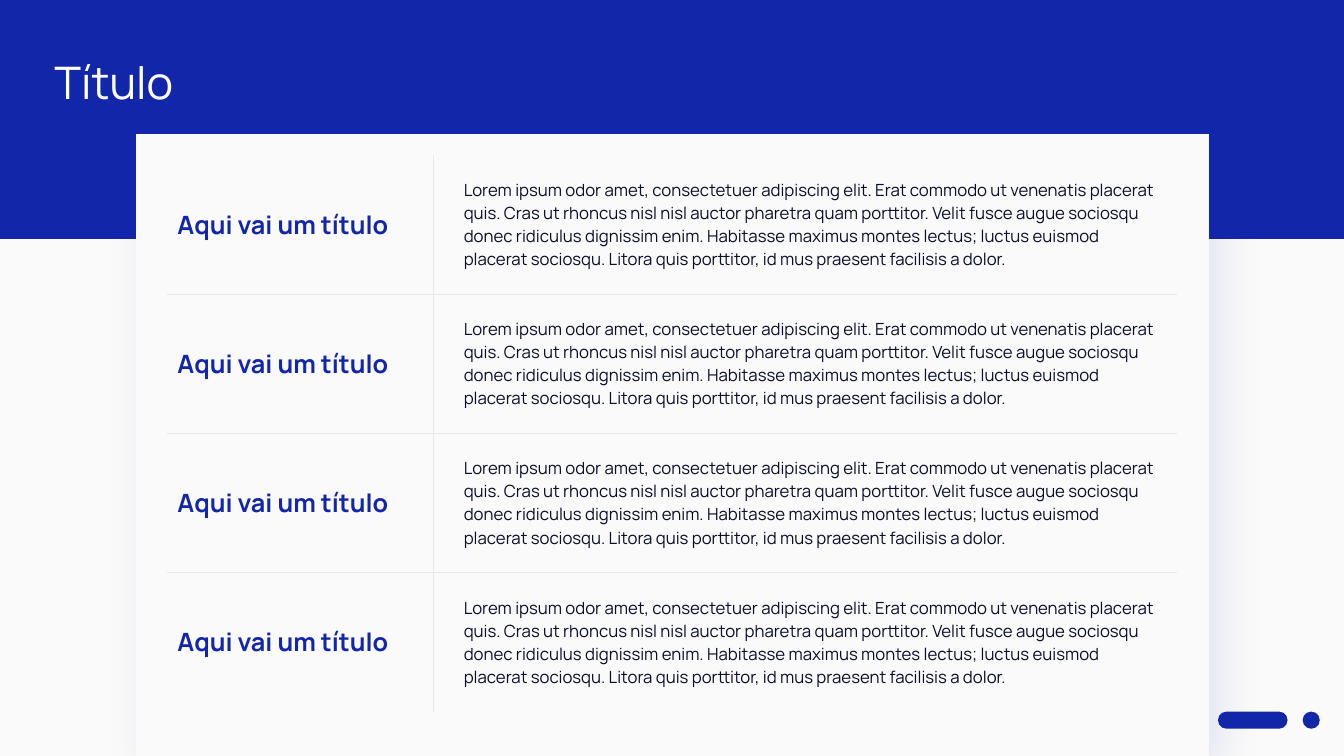
from dataclasses import dataclass

from lxml.etree import SubElement
from pptx import Presentation
from pptx.dml.color import RGBColor
from pptx.enum.shapes import MSO_SHAPE
from pptx.enum.text import MSO_ANCHOR, MSO_AUTO_SIZE, PP_ALIGN
from pptx.oxml import parse_xml
from pptx.oxml.ns import nsdecls, qn
from pptx.shapes.autoshape import Shape
from pptx.slide import Slide
from pptx.table import _Cell
from pptx.util import Inches, Pt

BLUE = RGBColor(0x12, 0x26, 0xAA)
NAVY = RGBColor(0x09, 0x0E, 0x29)
PAPER = RGBColor(0xFA, 0xFA, 0xFA)
WHITE = RGBColor(0xFF, 0xFF, 0xFF)
RULE = RGBColor(0xE8, 0xE8, 0xE8)
SHADOW = RGBColor(0x12, 0x2A, 0xA6)
NO_STYLE = "{2D5ABB26-0587-4C30-8999-92F81FD0307C}"

TITLE_FONT = {"name": "Manrope", "size": Pt(32), "color": WHITE, "bold": False}
HEADING_FONT = {"name": "Manrope", "size": Pt(18), "color": BLUE, "bold": True}
BODY_FONT = {"name": "Manrope", "size": Pt(12), "color": NAVY, "bold": False}

HEADING = "Aqui vai um título"
BODY = (
    "Lorem ipsum odor amet, consectetuer adipiscing elit. Erat commodo ut venenatis "
    "placerat quis. Cras ut rhoncus nisl nisl auctor pharetra quam porttitor. Velit "
    "fusce augue sociosqu donec ridiculus dignissim enim. Habitasse maximus montes "
    "lectus; luctus euismod placerat sociosqu. Litora quis porttitor, id mus praesent "
    "facilisis a dolor."
)
ROWS = [(HEADING, BODY)] * 4
ROW_HEIGHT = 1.38
COLUMN_WIDTHS = (2.64, 7.37)


@dataclass
class Block:
    left: float
    top: float
    width: float
    height: float
    color: RGBColor
    rounded: bool = False
    shadow: bool = False


BLOCKS = [
    Block(0, 0, 13.33, 2.37, BLUE),
    Block(1.35, 1.33, 10.64, 6.17, PAPER, shadow=True),
    Block(12.08, 7.06, 0.69, 0.17, BLUE, rounded=True),
    Block(12.92, 7.06, 0.17, 0.17, BLUE, rounded=True),
]


def format_text(p, fmt: dict) -> None:
    for r in p.runs:
        for name, value in fmt.items():
            if name == "color":
                r.font.color.rgb = value
            else:
                setattr(r.font, name, value)


def add_soft_shadow(sp: Shape) -> None:
    effects = sp._element.spPr.find(qn("a:effectLst"))
    effects.append(parse_xml(
        f'<a:outerShdw {nsdecls("a")} blurRad="{Pt(30)}" dist="{Pt(12)}" '
        f'dir="{45 * 60000}" algn="tl" rotWithShape="0">'
        f'<a:srgbClr val="{SHADOW}"><a:alpha val="10000"/></a:srgbClr></a:outerShdw>'
    ))


def add_block(s: Slide, block: Block) -> None:
    kind = MSO_SHAPE.ROUNDED_RECTANGLE if block.rounded else MSO_SHAPE.RECTANGLE
    sp = s.shapes.add_shape(kind, Inches(block.left), Inches(block.top),
                            Inches(block.width), Inches(block.height))
    if block.rounded:
        sp.adjustments[0] = 0.5
    sp.fill.solid()
    sp.fill.fore_color.rgb = block.color
    sp.line.fill.background()
    sp.shadow.inherit = False
    if block.shadow:
        add_soft_shadow(sp)


def set_borders(cell: _Cell, visible: dict[str, bool]) -> None:
    tc_pr = cell._tc.get_or_add_tcPr()
    for i, (side, shown) in enumerate(visible.items()):
        fill = f'<a:solidFill><a:srgbClr val="{RULE}"/></a:solidFill>' if shown else "<a:noFill/>"
        tc_pr.insert(i, parse_xml(
            f'<a:ln{side} {nsdecls("a")} w="{Pt(1)}">{fill}</a:ln{side}>'))


def add_topics(s: Slide) -> None:
    table = s.shapes.add_table(
        len(ROWS), len(COLUMN_WIDTHS), Inches(1.66), Inches(1.54),
        Inches(sum(COLUMN_WIDTHS)), Inches(ROW_HEIGHT * len(ROWS))).table
    table.first_row = table.horz_banding = False
    tbl_pr = table._tbl.tblPr
    style = tbl_pr.find(qn("a:tableStyleId"))
    if style is None:
        style = SubElement(tbl_pr, qn("a:tableStyleId"))
    style.text = NO_STYLE
    for column, width in zip(table.columns, COLUMN_WIDTHS):
        column.width = Inches(width)
    for i, texts in enumerate(ROWS):
        table.rows[i].height = Inches(ROW_HEIGHT)
        for j, text in enumerate(texts):
            cell = table.cell(i, j)
            cell.text = text
            cell.vertical_anchor = MSO_ANCHOR.MIDDLE
            cell.fill.background()
            p = cell.text_frame.paragraphs[0]
            format_text(p, BODY_FONT if j else HEADING_FONT)
            if j:
                p._p.get_or_add_pPr().set("marL", str(Inches(0.2)))
            set_borders(cell, {"L": j > 0, "R": j == 0,
                               "T": i > 0, "B": i < len(ROWS) - 1})


def set_title(s: Slide, text: str) -> None:
    title = s.shapes.title
    title.left, title.top = Inches(0.44), Inches(0.44)
    title.width, title.height = Inches(7.09), Inches(0.74)
    tf = title.text_frame
    tf.text = text
    frame = {"word_wrap": True, "auto_size": MSO_AUTO_SIZE.SHAPE_TO_FIT_TEXT,
             "vertical_anchor": MSO_ANCHOR.TOP}
    frame |= {f"margin_{side}": Inches(0.1) for side in ("left", "top", "right", "bottom")}
    for name, value in frame.items():
        setattr(tf, name, value)
    p = tf.paragraphs[0]
    p.alignment = PP_ALIGN.LEFT
    format_text(p, TITLE_FONT)
    # Bring the title in front of the blue band
    s.shapes._spTree.append(title._element)


def main() -> None:
    prs = Presentation()
    prs.slide_width, prs.slide_height = Inches(13.33), Inches(7.5)
    s = prs.slides.add_slide(prs.slide_layouts[5])

    # Background, band, panel and corner marks
    s.background.fill.solid()
    s.background.fill.fore_color.rgb = PAPER
    for block in BLOCKS:
        add_block(s, block)

    # Title and table of topics
    set_title(s, "Título")
    add_topics(s)

    prs.save("out.pptx")


if __name__ == "__main__":
    main()
